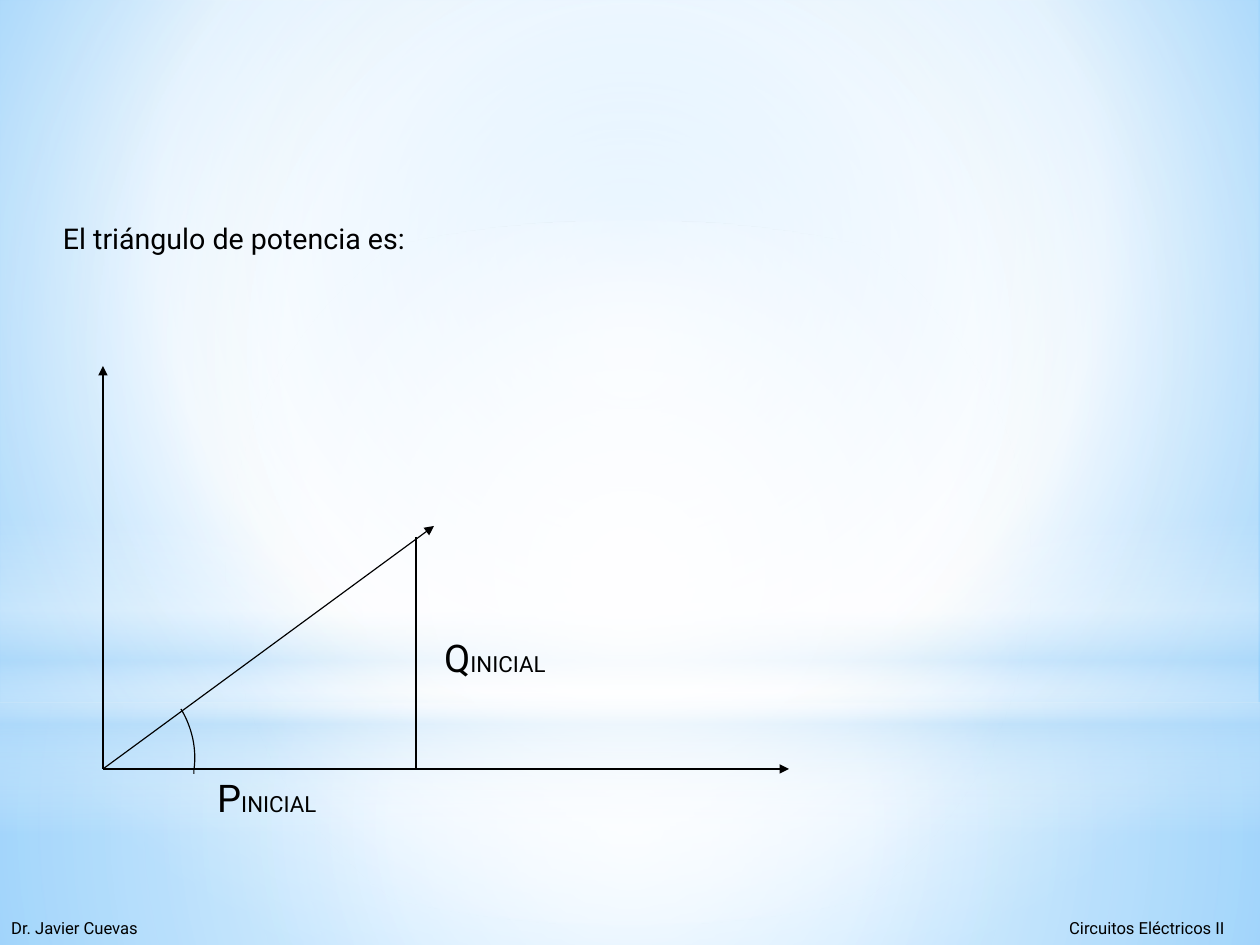
from lxml import etree
from pptx import Presentation
from pptx.dml.color import RGBColor
from pptx.enum.shapes import MSO_CONNECTOR, MSO_SHAPE
from pptx.enum.text import MSO_ANCHOR, MSO_AUTO_SIZE, PP_ALIGN
from pptx.oxml.ns import qn
from pptx.util import Pt

PX = 8000  # EMU
WIDTH, HEIGHT = 1260, 945
FONT = "Roboto"
LINE_WIDTH = Pt(0.75)
STRAIGHT = MSO_CONNECTOR.STRAIGHT
RECTANGLE, OVAL = MSO_SHAPE.RECTANGLE, MSO_SHAPE.OVAL
TOP, LEFT = MSO_ANCHOR.TOP, PP_ALIGN.LEFT
NO_FIT, GROW = MSO_AUTO_SIZE.NONE, MSO_AUTO_SIZE.SHAPE_TO_FIT_TEXT

BLACK = RGBColor(0x00, 0x00, 0x00)
WHITE = RGBColor(0xFF, 0xFF, 0xFF)
PALE_BLUE = RGBColor(0xB4, 0xDC, 0xFA)
SKY_BLUE = RGBColor(0x9E, 0xD5, 0xFF)
DEEP_BLUE = RGBColor(0x5B, 0xB9, 0xFF)

# Gradient stops: position %, colour, opacity %
BACKGROUND_STOPS = [(0, SKY_BLUE, 100), (60, WHITE, 100), (100, DEEP_BLUE, 100)]
BACKGROUND_FOCUS = (20, 10, 20, 60)
CENTRE = (50, 50, 50, 50)

# Preset, box, stops, focus (None for a vertical gradient)
GLOWS = [
    (RECTANGLE, (0, 703, WIDTH, 242),
     [(0, WHITE, 91), (37, WHITE, 76), (100, PALE_BLUE, 79)], CENTRE),
    (RECTANGLE, (0, 0, WIDTH, 703),
     [(0, WHITE, 89), (48, WHITE, 62), (100, PALE_BLUE, 79)], CENTRE),
    (RECTANGLE, (0, 519, WIDTH, 315),
     [(0, WHITE, 0), (29, WHITE, 30), (45, PALE_BLUE, 40), (55, WHITE, 26),
      (65, PALE_BLUE, 60), (100, WHITE, 0)], None),
    (OVAL, (0, 221, WIDTH, 703), [(0, WHITE, 100), (56, WHITE, 0)], CENTRE),
]

STATEMENT = [("El triángulo de potencia es:", 18)]
STATEMENT_BOX = (63, 221, 1109, 547)

ORIGIN = (103, 769)
# Start, end, has arrowhead
LINES = [
    (ORIGIN, (103, 366), True),
    (ORIGIN, (789, 769), True),
    (ORIGIN, (434, 526), True),
    ((416, 537), (416, 769), False),
]
ANGLE_CURVE = [(181, 709), (192, 727), (197, 749), (194, 770)]
ANGLE_END = (194, 774)
CURVE_STEPS = 16

LABELS = [
    ((206, 769, 127, 54), [("P", 24), ("INICIAL", 14)]),
    ((433, 629, 130, 54), [("Q", 24), ("INICIAL", 14)]),
    ((0, 912, 152, 32), [("Dr. Javier Cuevas", 10.5)]),
    ((1058, 912, 183, 32), [("Circuitos Eléctricos II", 10.5)]),
]


def scaled(values):
    return [round(value * PX) for value in values]


def set_attributes(target, values):
    for name, value in values.items():
        setattr(target, name, value)


def apply_gradient(fill, element, stops, focus):
    """Give the fill inside element a circular gradient, or a vertical one."""
    fill.gradient()
    gradient = next(element.iter(qn("a:gradFill")))
    for child in list(gradient):
        gradient.remove(child)
    stop_list = etree.SubElement(gradient, qn("a:gsLst"))
    for position, colour, opacity in stops:
        stop = etree.SubElement(stop_list, qn("a:gs"), pos=str(position * 1000))
        tint = etree.SubElement(stop, qn("a:srgbClr"), val=str(colour))
        if opacity < 100:
            etree.SubElement(tint, qn("a:alpha"), val=str(opacity * 1000))
    if focus is None:
        etree.SubElement(gradient, qn("a:lin"), ang="5400000", scaled="0")
    else:
        circle = etree.SubElement(gradient, qn("a:path"), path="circle")
        sides = {side: str(share * 1000) for side, share in zip("ltrb", focus)}
        etree.SubElement(circle, qn("a:fillToRect"), sides)


def add_glow(slide, preset, box, stops, focus):
    shape = slide.shapes.add_shape(preset, *scaled(box))
    shape.shadow.inherit = False
    shape.line.fill.background()
    apply_gradient(shape.fill, shape.element, stops, focus)


def write_runs(paragraph, runs):
    paragraph.alignment = LEFT
    for text, size in runs:
        run = paragraph.add_run()
        run.text = text
        set_attributes(run.font, {"name": FONT, "size": Pt(size)})
        run.font.color.rgb = BLACK


def place_statement(slide):
    body = slide.placeholders[1]
    box = dict(zip(("left", "top", "width", "height"), scaled(STATEMENT_BOX)))
    set_attributes(body, box)
    set_attributes(body.text_frame, {
        "margin_left": 0, "margin_top": 0, "margin_right": 0, "margin_bottom": 0,
        "vertical_anchor": TOP, "auto_size": NO_FIT, "word_wrap": True,
    })
    paragraph = body.text_frame.paragraphs[0]
    write_runs(paragraph, STATEMENT)
    paragraph.space_before = Pt(0)
    properties = paragraph._p.get_or_add_pPr()
    properties.set("marL", "0")
    properties.set("indent", "0")
    etree.SubElement(properties, qn("a:buNone"))
    body.element.getparent().append(body.element)  # in front of the glows


def style_line(line):
    line.color.rgb = BLACK
    line.width = LINE_WIDTH


def add_line(slide, start, end, has_arrowhead):
    connector = slide.shapes.add_connector(STRAIGHT, *scaled(start + end))
    style_line(connector.line)
    if has_arrowhead:
        etree.SubElement(connector.line._get_or_add_ln(), qn("a:tailEnd"), type="triangle")
    etree.SubElement(connector.element.spPr, qn("a:effectLst"))


def curve_point(share):
    """Point at a share (0 to 1) of the cubic Bézier curve of the angle."""
    rest = 1 - share
    weights = (rest ** 3, 3 * rest ** 2 * share, 3 * rest * share ** 2, share ** 3)
    return [sum(w * value for w, value in zip(weights, axis)) for axis in zip(*ANGLE_CURVE)]


def add_angle(slide):
    points = [scaled(curve_point(step / CURVE_STEPS)) for step in range(CURVE_STEPS + 1)]
    points.append(scaled(ANGLE_END))
    builder = slide.shapes.build_freeform(*points[0])
    builder.add_line_segments(points[1:], close=False)
    arc = builder.convert_to_shape()
    arc.shadow.inherit = False
    arc.fill.background()
    style_line(arc.line)


def add_label(slide, box, runs):
    frame = slide.shapes.add_textbox(*scaled(box)).text_frame
    set_attributes(frame, {"word_wrap": False, "auto_size": GROW})
    write_runs(frame.paragraphs[0], runs)


def main():
    presentation = Presentation()
    set_attributes(presentation, {"slide_width": WIDTH * PX, "slide_height": HEIGHT * PX})
    slide = presentation.slides.add_slide(presentation.slide_layouts[1])
    title = slide.shapes.title.element
    title.getparent().remove(title)
    apply_gradient(slide.background.fill, slide.element, BACKGROUND_STOPS, BACKGROUND_FOCUS)
    for glow in GLOWS:
        add_glow(slide, *glow)
    place_statement(slide)
    for line in LINES:
        add_line(slide, *line)
    add_angle(slide)
    for label in LABELS:
        add_label(slide, *label)
    presentation.save("out.pptx")


if __name__ == "__main__":
    main()
